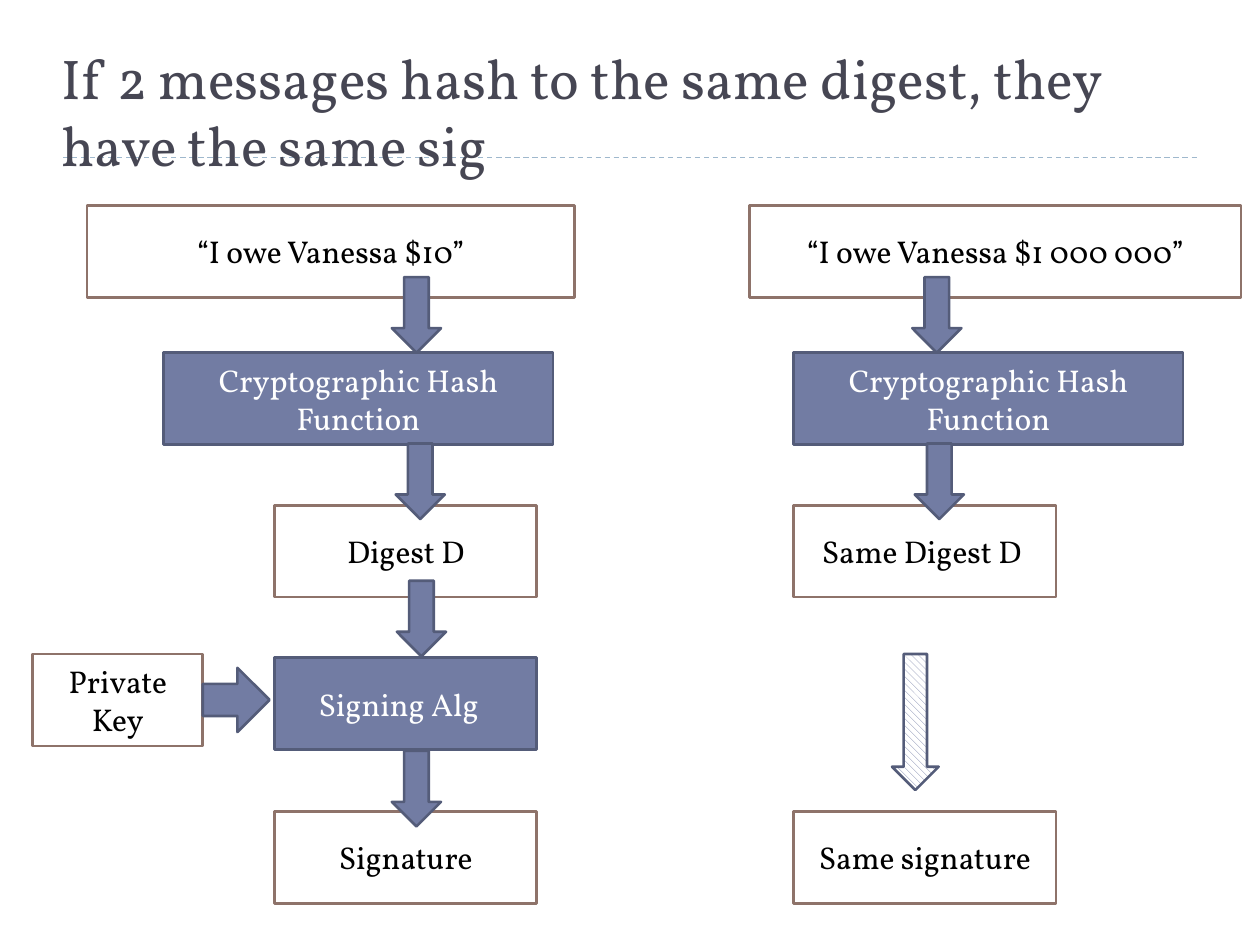
from lxml import etree
from pptx import Presentation, util as u
from pptx.dml.color import RGBColor
from pptx.enum import dml, shapes, text

FONT = "Vollkorn"
COLORS = {"title": "464653", "rule": "9FB8CD", "white": "FFFFFF", "black": "000000",
          "brown": "8E736A", "blue": "727CA3", "navy": "545C79"}
BOX_W, BOX_H = 2.08, 0.73
ARROW_W, ARROW_H = 0.39, 0.6
# Tops of the rows, measured from the top of a column
MESSAGE, HASH, DIGEST, SIGN, SIGNATURE = 0, 1.17, 2.38, 3.59, 4.81


def rgb(name):
    return RGBColor.from_string(COLORS[name])


def put_text(sp, words, size, color, align, anchor):
    tf = sp.text_frame
    tf.word_wrap = True
    tf.vertical_anchor = anchor
    tf.text = words
    p = tf.paragraphs[0]
    p.alignment = align
    font = p.runs[0].font
    font.name, font.size = FONT, u.Pt(size)
    font.color.rgb = rgb(color)


def add_shape(s, kind, x, y, w, h, fill, line):
    sp = s.shapes.add_shape(kind, *map(u.Inches, (x, y, w, h)))
    sp.shadow.inherit = False
    sp.fill.solid()
    sp.fill.fore_color.rgb = rgb(fill)
    sp.line.color.rgb = rgb(line)
    sp.line.width = u.Pt(1.5)
    return sp


def add_box(s, words, x, y, w=BOX_W, step=False, pad=0):
    """Data boxes are white, processing steps are blue; pad moves the text left."""
    fill, line, color = ("blue", "navy", "white") if step else ("white", "brown", "black")
    sp = add_shape(s, shapes.MSO_SHAPE.RECTANGLE, x, y, w, BOX_H, fill, line)
    put_text(sp, words, 18, color, text.PP_ALIGN.CENTER, text.MSO_ANCHOR.MIDDLE)
    sp.text_frame.margin_right = u.Inches(0.1 + pad)


def add_arrow(s, x, y, w=ARROW_W, h=ARROW_H, kind=shapes.MSO_SHAPE.DOWN_ARROW):
    return add_shape(s, kind, x, y, w, h, "blue", "navy")


def add_header(s, x, y, w, h):
    # Dashed rule
    rule = s.shapes.add_connector(shapes.MSO_CONNECTOR.STRAIGHT,
                                  *map(u.Inches, (0.5, 1.25, 9.5, 1.25)))
    rule.line.color.rgb = rgb("rule")
    rule.line.width = u.Pt(0.75)
    rule.line.dash_style = dml.MSO_LINE.DASH
    sp_pr = rule._element.spPr
    etree.SubElement(sp_pr, sp_pr.tag.split("}")[0].replace("presentationml", "drawingml") + "}effectLst"
                     if "drawingml" in sp_pr.tag else
                     "{http://schemas.openxmlformats.org/drawingml/2006/main}effectLst")
    # Title
    title = s.shapes.add_textbox(*map(u.Inches, (x, y, w, h)))
    put_text(title, "If 2 messages hash to the same digest, they have the same sig",
             32, "title", text.PP_ALIGN.LEFT, text.MSO_ANCHOR.BOTTOM)


def add_column(s, x, y, message, digest, signature, arrows):
    """Boxes and arrows of one message; boxes are (text, dx, width[, pad])."""
    (words, dx, w), hash_dx = message, arrows["hash_dx"]
    add_box(s, words, x + dx, y + MESSAGE, w)
    add_box(s, "Cryptographic Hash Function", x + hash_dx, y + HASH, 3.09, step=True)
    add_box(s, digest[0], x, y + DIGEST, pad=digest[1])
    add_box(s, signature, x, y + SIGNATURE)
    for ax, ay in arrows["down"]:
        add_arrow(s, x + ax, y + ay)


def add_signing(s, x, y):
    """Signing step with the private key fed in from the left."""
    add_box(s, "Signing Alg", x, y, step=True, pad=0.11)
    add_box(s, "Private Key", x - 1.92, y - 0.03, 1.35)
    add_arrow(s, x - 0.57, y + 0.08, 0.53, 0.51, shapes.MSO_SHAPE.RIGHT_ARROW)
    add_arrow(s, x + 0.97, y - 0.61)
    add_arrow(s, x + 0.93, y + 0.74)


def add_shortcut(s, x, y):
    """Hatched arrow from the same digest to the same signature."""
    fill = add_arrow(s, x, y, 0.37, 1.08).fill
    fill.patterned()
    fill.pattern = dml.MSO_PATTERN.WIDE_DOWNWARD_DIAGONAL
    fill.fore_color.rgb = rgb("blue")
    fill.back_color.rgb = rgb("white")


prs = Presentation()
prs.slide_width, prs.slide_height = u.Inches(10), u.Inches(7.5)
s = prs.slides.add_slide(prs.slide_layouts[6])

LEFT, RIGHT, TOP = 2.18, 6.3, 1.63
add_header(s, 0.39, 0.21, 9, 1.25)
add_column(s, LEFT, TOP, ("“I owe Vanessa $10”", -1.49, 3.87), ("Digest D", 0), "Signature",
           {"hash_dx": -0.88, "down": [(0.93, 0.57), (0.96, 1.89)]})
add_signing(s, LEFT, TOP + SIGN)
add_column(s, RIGHT, TOP, ("“I owe Vanessa $1 000 000”", -0.35, 3.9), ("Same Digest D", 0.05),
           "Same signature", {"hash_dx": 0, "down": [(0.94, 0.57), (0.96, 1.89)]})
add_shortcut(s, RIGHT + 0.78, TOP + 3.56)

prs.save("out.pptx")
